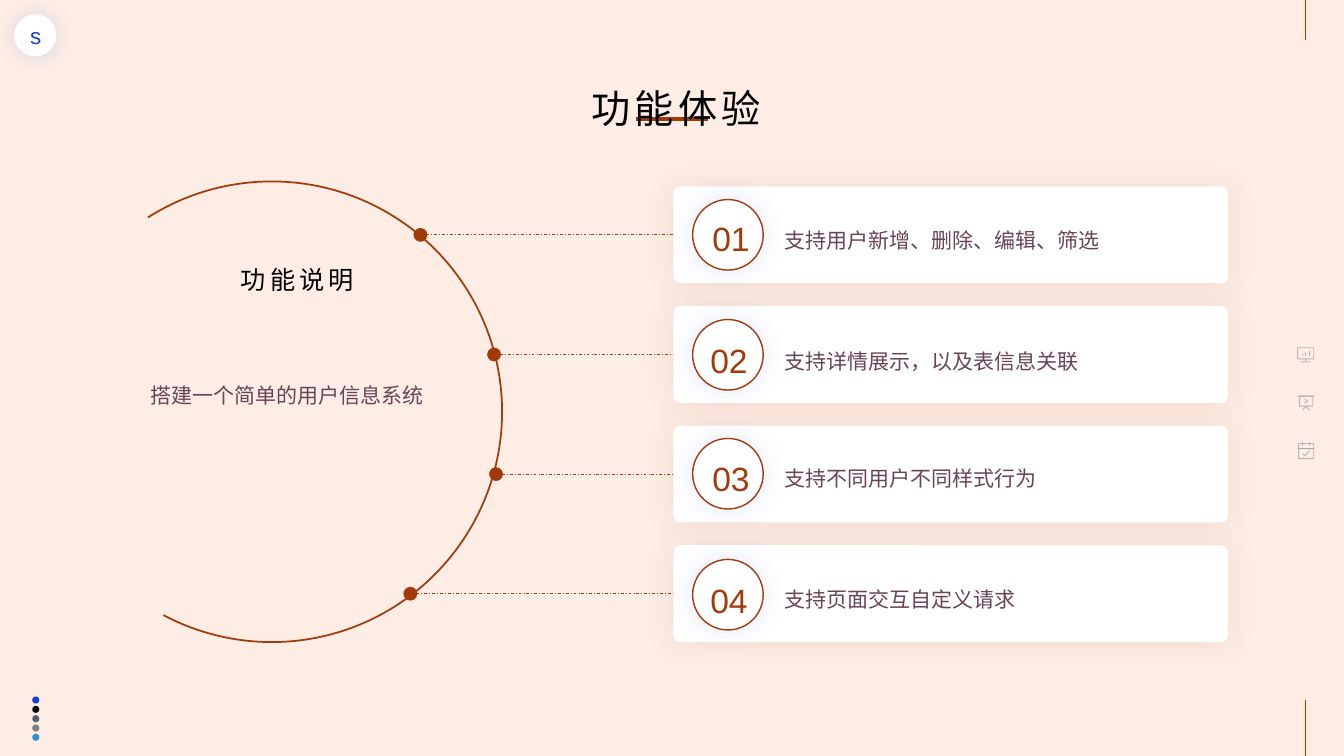
from lxml import etree
from pptx import Presentation
from pptx.dml.color import RGBColor
from pptx.enum.dml import MSO_LINE
from pptx.enum.shapes import MSO_CONNECTOR, MSO_SHAPE
from pptx.enum.text import MSO_ANCHOR, MSO_AUTO_SIZE, PP_ALIGN
from pptx.oxml.ns import qn
from pptx.util import Inches, Pt

CENTER, LEFT = PP_ALIGN.CENTER, PP_ALIGN.LEFT
TOP, MIDDLE = MSO_ANCHOR.TOP, MSO_ANCHOR.MIDDLE
FIXED_SIZE = MSO_AUTO_SIZE.NONE
ELLIPSE, ARC, CARD = MSO_SHAPE.OVAL, MSO_SHAPE.ARC, MSO_SHAPE.ROUNDED_RECTANGLE
STRAIGHT = MSO_CONNECTOR.STRAIGHT
DASH_DOT = MSO_LINE.DASH_DOT

PEACH = RGBColor(0xFD, 0xED, 0xE5)
RUST = RGBColor(0xA1, 0x3B, 0x0A)
BLUE = RGBColor(0x18, 0x40, 0xD5)
SKY = RGBColor(0x2F, 0x91, 0xD8)
SLATE = RGBColor(0x5A, 0x5C, 0x64)
GRAY = RGBColor(0x80, 0x80, 0x80)
SILVER = RGBColor(0xA6, 0xA6, 0xA6)
PLUM = RGBColor(0x68, 0x44, 0x56)
INK = RGBColor(0x00, 0x00, 0x02)
BLACK = RGBColor(0x00, 0x00, 0x00)
WHITE = RGBColor(0xFF, 0xFF, 0xFF)

# Outlines of the three side icons: chart board, play board, calendar
ICON_OUTLINES = [
    [(12.9, 3.56), (12.87, 3.56), (12.87, 3.45), (13.03, 3.45), (13.03, 3.56), (13, 3.56),
     (12.9, 3.56)],
    [(12.92, 3.51), (12.92, 3.53)],
    [(12.95, 3.56), (12.95, 3.58)],
    [(12.95, 3.5), (12.95, 3.53)],
    [(12.99, 3.48), (12.99, 3.53)],
    [(12.9, 3.59), (13, 3.59)],
    [(12.87, 3.93), (13.04, 3.93)],
    [(12.89, 3.93), (13.02, 3.93), (13.02, 4.03), (12.89, 4.03), (12.89, 3.93)],
    [(12.94, 3.96), (12.97, 3.98), (12.94, 4)],
    [(12.92, 4.07), (12.95, 4.03), (12.99, 4.07)],
    [(12.88, 4.45), (13.03, 4.45), (13.03, 4.55), (12.88, 4.55), (12.88, 4.45)],
    [(12.88, 4.4), (13.03, 4.4), (13.03, 4.45), (12.88, 4.45), (12.88, 4.4)],
    [(12.92, 4.5), (12.94, 4.52), (12.99, 4.47)],
    [(12.92, 4.39), (12.92, 4.42)],
    [(12.99, 4.39), (12.99, 4.42)],
]

# Leader start x, circle top, number left, number top, text top, text
FEATURES = [
    (4.17, 1.98, 6.89, 2.11, 2.14, "支持用户新增、删除、编辑、筛选"),
    (4.9, 3.17, 6.87, 3.32, 3.35, "支持详情展示，以及表信息关联"),
    (4.92, 4.35, 6.89, 4.49, 4.51, "支持不同用户不同样式行为"),
    (4.07, 5.55, 6.87, 5.7, 5.71, "支持页面交互自定义请求"),
]
CARD_TOP, CARD_HEIGHT = 1.85, 0.96
CARD_PITCH = (5.41 - CARD_TOP) / 3
DOT_PITCH = (7.28 - 6.91) / 4
LEADER_LENGTH = 3.69


class SlideBuilder:
    font_name = "Arial"

    def __init__(self, slide):
        self.slide = slide
        self.shapes = slide.shapes

    def background(self, color):
        fill = self.slide.background.fill
        fill.solid()
        fill.fore_color.rgb = color

    def shape(self, kind, box, fill=None, line=None, shadow=None):
        """Add a preset shape; line is (colour, points), shadow is (colour, alpha %, blur points)."""
        shape = self.shapes.add_shape(kind, *map(Inches, box))
        if fill is None:
            shape.fill.background()
        else:
            shape.fill.solid()
            shape.fill.fore_color.rgb = fill
        if line:
            shape.line.color.rgb, shape.line.width = line[0], Pt(line[1])
        else:
            shape.line.fill.background()
        shape.shadow.inherit = False
        if shadow:
            self.soft_shadow(shape, *shadow)
        return shape

    def soft_shadow(self, shape, color, alpha, blur):
        effects = shape.element.spPr.find(qn("a:effectLst"))
        outer = etree.SubElement(effects, qn("a:outerShdw"), blurRad=str(Pt(blur)),
                                 dist="0", dir="0", algn="ctr", rotWithShape="0")
        tint = etree.SubElement(outer, qn("a:srgbClr"), val=str(color))
        etree.SubElement(tint, qn("a:alpha"), val=str(alpha * 1000))

    def line(self, start, end, color, width):
        connector = self.shapes.add_connector(STRAIGHT, *map(Inches, (*start, *end)))
        connector.line.color.rgb, connector.line.width = color, Pt(width)
        etree.SubElement(connector.element.spPr, qn("a:effectLst"))
        return connector

    def leader(self, start, end):
        """Add a dash-dot line that begins with a round dot."""
        connector = self.line(start, end, RUST, 0.5)
        connector.line.dash_style = DASH_DOT
        outline = connector.element.spPr.find(qn("a:ln"))
        etree.SubElement(outline, qn("a:headEnd"), type="oval", w="lg", len="lg")

    def icon_outline(self, points):
        if len(points) == 2:
            shape = self.line(*points, SILVER, 0.66)
        else:
            corners = [tuple(map(Inches, point)) for point in points]
            builder = self.shapes.build_freeform(*corners[0])
            builder.add_line_segments(corners[1:], close=points[0] == points[-1])
            shape = builder.convert_to_shape()
            shape.fill.background()
            shape.line.color.rgb, shape.line.width = SILVER, Pt(0.66)
            shape.shadow.inherit = False
        tint = shape.element.spPr.find(f"{qn('a:ln')}//{qn('a:srgbClr')}")
        etree.SubElement(tint, qn("a:alpha"), val="78000")

    def set_text(self, shape, text, size, color, align=CENTER, anchor=TOP,
                 line_spacing=1.0, tracking=0):
        frame = shape.text_frame
        frame.word_wrap = True
        frame.auto_size = FIXED_SIZE
        frame.vertical_anchor = anchor
        frame.text = text
        paragraph = frame.paragraphs[0]
        paragraph.alignment = align
        paragraph.line_spacing = line_spacing
        paragraph.space_before = Pt(0)
        font = paragraph.font
        font.name, font.size = self.font_name, Pt(size)
        font.color.rgb = color
        if tracking:
            paragraph.runs[0].font.bold = False
            for properties in shape.element.iter(qn("a:rPr")):
                properties.set("spc", str(tracking * 100))

    def text(self, box, text, size, color, **style):
        self.set_text(self.shapes.add_textbox(*map(Inches, box)), text, size, color, **style)

    def description(self, box, text):
        self.text(box, text, 15, PLUM, align=LEFT, anchor=MIDDLE, line_spacing=1.3)

    def title(self, box, text):
        """Fill the title placeholder and bring it to the front."""
        title = self.shapes.title
        title.left, title.top, title.width, title.height = map(Inches, box)
        self.set_text(title, text, 28, BLACK, line_spacing=1.2, tracking=3)
        title.element.getparent().append(title.element)


def main():
    presentation = Presentation()
    presentation.slide_width, presentation.slide_height = Inches(13.33), Inches(7.5)
    builder = SlideBuilder(presentation.slides.add_slide(presentation.slide_layouts[5]))
    builder.background(PEACH)

    for points in ICON_OUTLINES:
        builder.icon_outline(points)
    for top, bottom in ((0, 0.4), (6.94, 7.5)):
        builder.line((12.95, top), (12.95, bottom), RUST, 0.5)
    for index, color in enumerate((BLUE, INK, SLATE, GRAY, SKY)):
        builder.shape(ELLIPSE, (0.32, 6.91 + DOT_PITCH * index, 0.07, 0.07), color)
    badge = builder.shape(ELLIPSE, (0.14, 0.14, 0.42, 0.42), WHITE, shadow=(BLUE, 15, 15))
    builder.set_text(badge, "s", 16, BLUE, anchor=MIDDLE)
    builder.line((6.31, 1.18), (7.02, 1.18), RUST, 2.25)

    arc = builder.shape(ARC, (0.41, 1.8, 4.57, 4.57), line=(RUST, 1.25))
    arc.rotation = 327.5
    arc.adjustments[0], arc.adjustments[1] = 162, 90.32

    for index, (leader_left, *_) in enumerate(FEATURES):
        card_top = CARD_TOP + CARD_PITCH * index
        middle = card_top + CARD_HEIGHT / 2
        builder.leader((leader_left, middle), (leader_left + LEADER_LENGTH, middle))
        card = builder.shape(CARD, (6.68, card_top, 5.5, CARD_HEIGHT), WHITE,
                             shadow=(RUST, 11, 20))
        card.adjustments[0] = 0.07

    for number, feature in enumerate(FEATURES, 1):
        _, circle_top, number_left, number_top, text_top, text = feature
        builder.shape(ELLIPSE, (6.87, circle_top, 0.7, 0.7), WHITE, (RUST, 1), (BLUE, 11, 20))
        builder.text((number_left, number_top, 0.72, 0.5), f"{number:02}", 24, RUST)
        builder.description((7.68, text_top, 4.53, 0.4), text)

    builder.description((1.39, 3.68, 3.01, 0.4), "搭建一个简单的用户信息系统")
    builder.text((2.16, 2.57, 1.58, 0.4), "功能说明", 18, BLACK, tracking=3)
    builder.title((5.66, 0.69, 2.09, 0.62), "功能体验")
    presentation.save("out.pptx")


if __name__ == "__main__":
    main()
